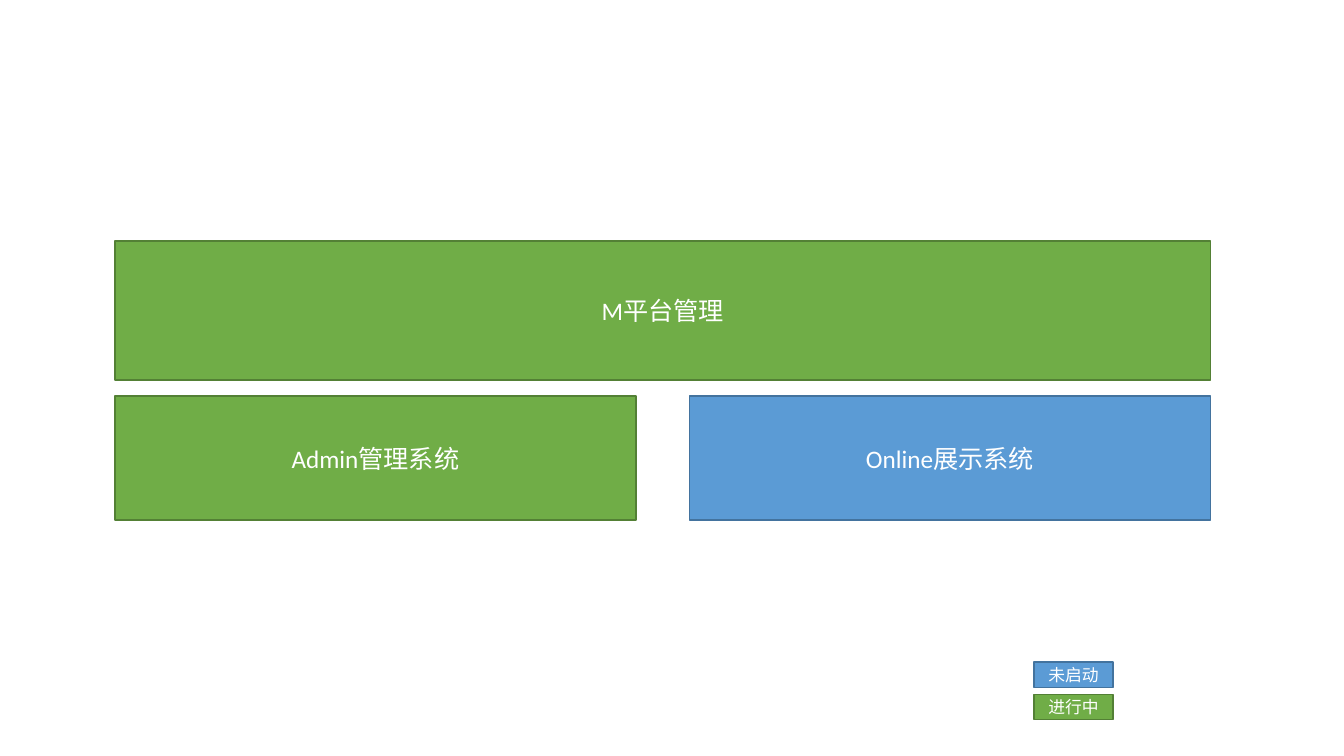
from pptx import Presentation
from pptx.dml.color import RGBColor
from pptx.enum import shapes, text
from pptx.util import Pt


def rgb(value):
    return RGBColor.from_string(value)


prs = Presentation()
prs.slide_width, prs.slide_height = Pt(960), Pt(540)
s = prs.slides.add_slide(prs.slide_layouts[6])

in_progress = ("70AD47", "538035")
not_started = ("5B9BD5", "43739E")
left, full_w, half_w = 82.1, 782.6, 372.2
right = left + full_w - half_w
system_y, system_h = 283, 88.6
legend_x, legend_y, legend_step = 738.7, 473, 23.1
legend_w, legend_h = 56.2, 18

boxes = [
    ("M平台管理", left, 172.1, full_w, 99.4, 18, in_progress),
    ("Admin管理系统", left, system_y, half_w, system_h, 18, in_progress),
    ("Online展示系统", right, system_y, half_w, system_h, 18, not_started),
]
for i, (label, status) in enumerate([("未启动", not_started), ("进行中", in_progress)]):
    y = legend_y + i * legend_step
    boxes.append((label, legend_x, y, legend_w, legend_h, 12, status))

for label, x, y, w, h, size, (fill, line) in boxes:
    sp = s.shapes.add_shape(shapes.MSO_SHAPE.RECTANGLE, Pt(x), Pt(y), Pt(w), Pt(h))
    sp.shadow.inherit = False
    sp.fill.solid()
    sp.fill.fore_color.rgb = rgb(fill)
    sp.line.color.rgb = rgb(line)
    sp.line.width = Pt(1)
    tf = sp.text_frame
    tf.word_wrap = True
    tf.vertical_anchor = text.MSO_ANCHOR.MIDDLE
    p = tf.paragraphs[0]
    p.text = label
    p.alignment = text.PP_ALIGN.CENTER
    p.font.name = "Calibri"
    p.font.size = Pt(size)
    p.font.color.rgb = rgb("FFFFFF")

prs.save("out.pptx")
